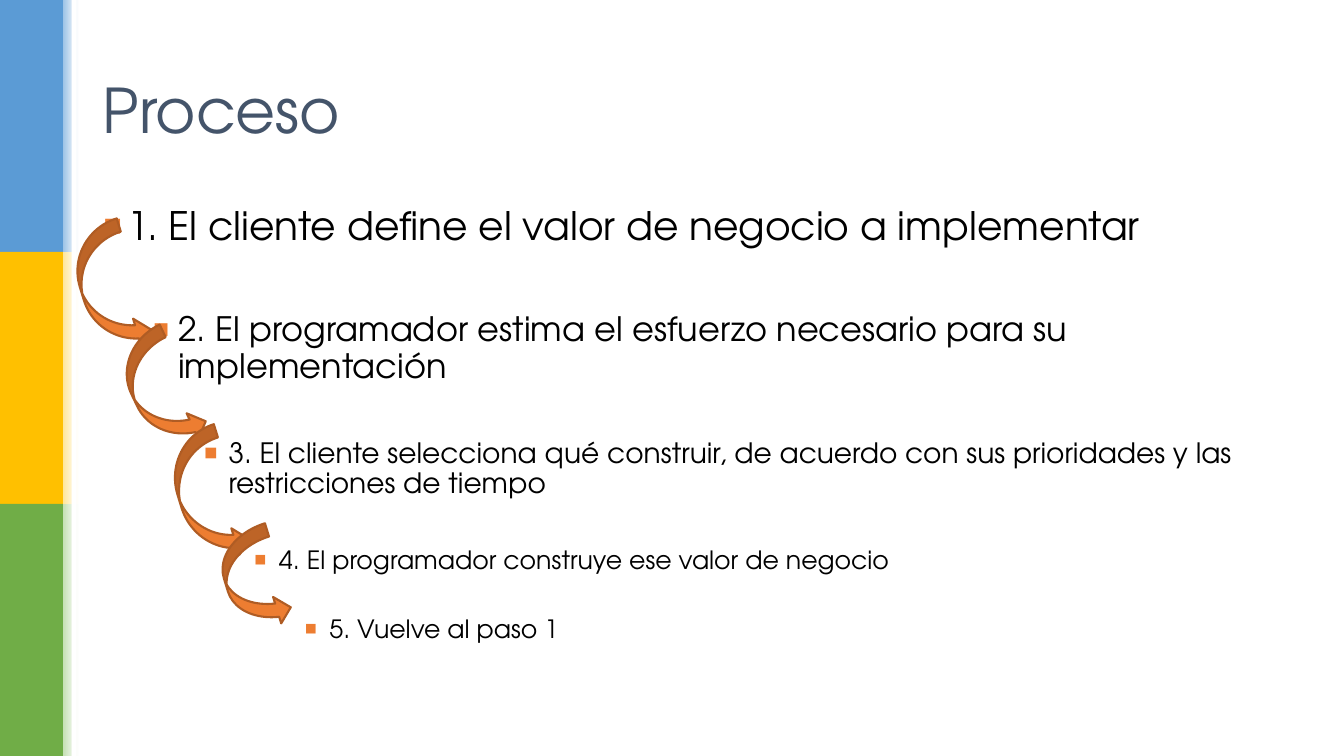
from dataclasses import dataclass

from lxml.etree import SubElement
from pptx import Presentation
from pptx.dml.color import RGBColor
from pptx.enum.shapes import MSO_SHAPE
from pptx.enum.text import MSO_ANCHOR
from pptx.oxml.ns import qn
from pptx.util import Pt


@dataclass(frozen=True)
class Theme:
    """Colours and type sizes of the deck."""
    font: str = "TeX Gyre Adventor"
    title: str = "44546A"
    text: str = "000000"
    accent: str = "ED7D31"
    arrow_line: str = "AF5C24"
    white: str = "FFFFFF"
    bands: tuple = (("5B9BD5", "9DC3E6"), ("FFC000", "FFE699"), ("70AD47", "C5E0B4"))
    title_size: int = 44
    step_sizes: tuple = (28, 24, 20, 18, 18)


@dataclass(frozen=True)
class Box:
    """A rectangle in points."""
    left: float
    top: float
    width: float
    height: float

    def lengths(self):
        """Return the four sides as slide lengths."""
        return Pt(self.left), Pt(self.top), Pt(self.width), Pt(self.height)


THEME = Theme()
PAGE = Box(0, 0, 960, 540)
STEPS = (
    ("1. El cliente define el valor de negocio a implementar", 0),
    ("2. El programador estima el esfuerzo necesario para su implementación", 45.7),
    ("3. El cliente selecciona qué construir, de acuerdo con sus prioridades "
     "y las restricciones de tiempo", 38.7),
    ("4. El programador construye ese valor de negocio", 33.8),
    ("5. Vuelve al paso 1", 30.2),
)
ARROWS = (
    (-7.9, 15.8, 92.9, -17.1),
    (28.8, 92.2, 86.4, -25.5),
    (61.9, 162.7, 95.8, -17.1),
    (95, 234, 72.7, -17.1),
)


def colour(code):
    """Turn a hex code into a colour."""
    return RGBColor.from_string(code)


def add_plain_shape(page, kind, box):
    """Add a preset shape with neither shadow nor outline."""
    shape = page.shapes.add_shape(kind, *box.lengths())
    shape.shadow.inherit = False
    shape.line.fill.background()
    return shape


def add_side_bands(page, box):
    """Stack the coloured bands, each fading out to its right."""
    solid_width, strip_left, strip_width = 45, 51.1, 3.6
    height = box.height / len(THEME.bands)
    for index, (solid, tint) in enumerate(THEME.bands):
        top = box.top + index * height
        band = add_plain_shape(
            page, MSO_SHAPE.RECTANGLE, Box(box.left, top, solid_width, height))
        band.fill.solid()
        band.fill.fore_color.rgb = colour(solid)
        fade = add_plain_shape(
            page, MSO_SHAPE.RECTANGLE,
            Box(box.left + solid_width, top, box.width - solid_width, height))
        fade.fill.gradient()
        fade.fill.gradient_angle = 0
        for stop, code in zip(fade.fill.gradient_stops, (tint, THEME.white)):
            stop.color.rgb = colour(code)
    strip = add_plain_shape(
        page, MSO_SHAPE.RECTANGLE,
        Box(box.left + strip_left, box.top, strip_width, box.height))
    strip.fill.solid()
    strip.fill.fore_color.rgb = colour(THEME.white)


def add_text_frame(page, box, anchor):
    """Add a wrapping text box and return its frame."""
    frame = page.shapes.add_textbox(*box.lengths()).text_frame
    frame.word_wrap = True
    frame.vertical_anchor = anchor
    return frame


def write_paragraph(para, text, size, code):
    """Fill a paragraph and set its font."""
    para.text = text
    para.line_spacing = 0.9
    para.font.name = THEME.font
    para.font.size = Pt(size)
    para.font.color.rgb = colour(code)


def add_bullet(para, indent):
    """Give a paragraph a hanging square bullet."""
    properties = para._p.get_or_add_pPr()
    properties.set("marL", str(Pt(indent)))
    properties.set("indent", str(Pt(-18)))
    bullet_colour = SubElement(properties, qn("a:buClr"))
    SubElement(bullet_colour, qn("a:srgbClr"), val=THEME.accent)
    SubElement(properties, qn("a:buFont"), typeface=THEME.font)
    SubElement(properties, qn("a:buChar"), char="▪")
    fonts = properties.find(qn("a:defRPr"))
    if fonts is not None:
        properties.append(fonts)


def add_title(page, box, text):
    """Write the slide title, centred vertically in its box."""
    frame = add_text_frame(page, box, MSO_ANCHOR.MIDDLE)
    write_paragraph(frame.paragraphs[0], text, THEME.title_size, THEME.title)


def add_steps(page, box):
    """Write the steps, each indented further than the last."""
    frame = add_text_frame(page, box, MSO_ANCHOR.TOP)
    for index, ((text, gap), size) in enumerate(zip(STEPS, THEME.step_sizes)):
        para = frame.add_paragraph() if index else frame.paragraphs[0]
        write_paragraph(para, text, size, THEME.text)
        para.space_before = Pt(gap)
        add_bullet(para, 18 + 36 * index)


def add_arrows(page, box):
    """Link each step to the next with a curved arrow."""
    for left, top, height, rotation in ARROWS:
        arrow = add_plain_shape(
            page, MSO_SHAPE.CURVED_RIGHT_ARROW,
            Box(box.left + left, box.top + top, 39.6, height))
        arrow.rotation = rotation
        arrow.fill.solid()
        arrow.fill.fore_color.rgb = colour(THEME.accent)
        arrow.line.color.rgb = colour(THEME.arrow_line)
        arrow.line.width = Pt(1.5)


def add_process_slide(deck, box):
    """Build the process slide."""
    page = deck.slides.add_slide(deck.slide_layouts[6])
    steps_box = Box(box.left + 66.2, box.top + 144, 828, 342.7)
    add_side_bands(page, Box(box.left, box.top, 56.2, box.height))
    add_steps(page, steps_box)
    add_title(page, Box(steps_box.left, box.top + 28.8, steps_box.width, 104.4), "Proceso")
    add_arrows(page, steps_box)


def main():
    """Create and save the deck."""
    deck = Presentation()
    deck.slide_width, deck.slide_height = Pt(PAGE.width), Pt(PAGE.height)
    add_process_slide(deck, PAGE)
    deck.save("out.pptx")


if __name__ == "__main__":
    main()
